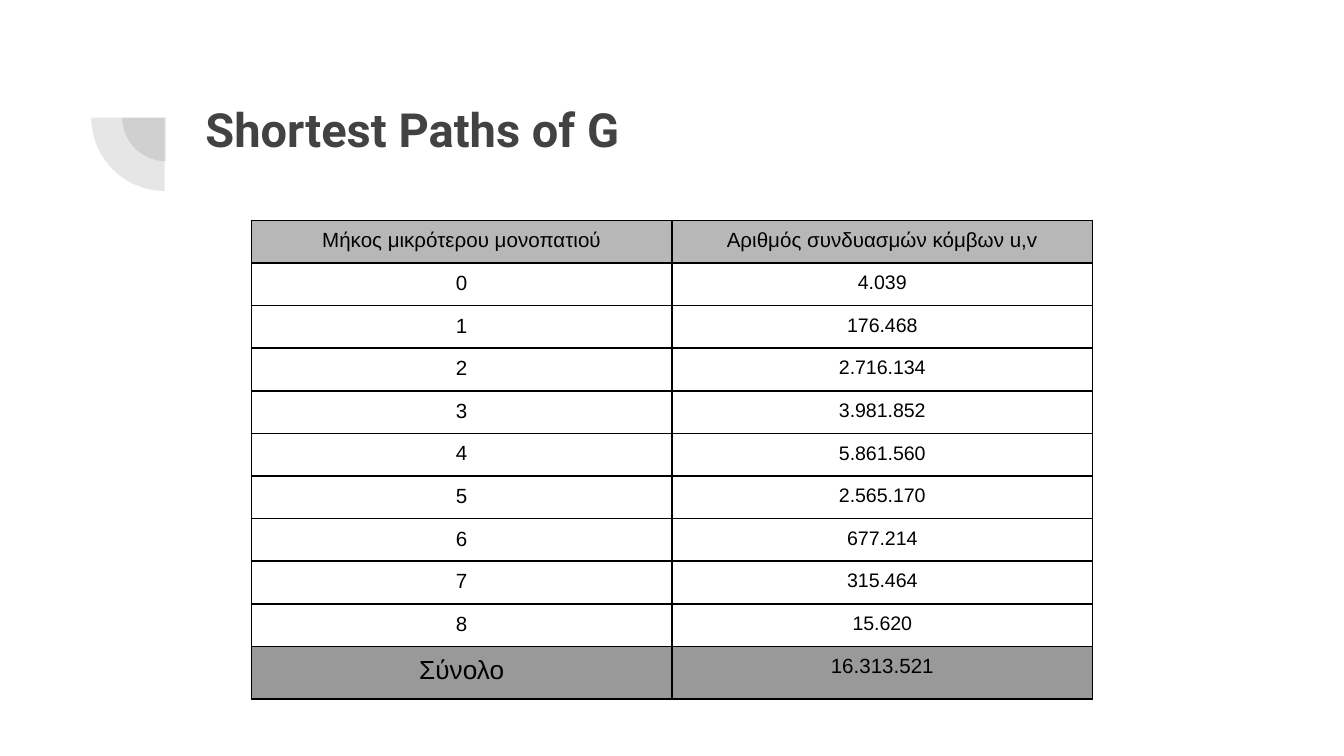
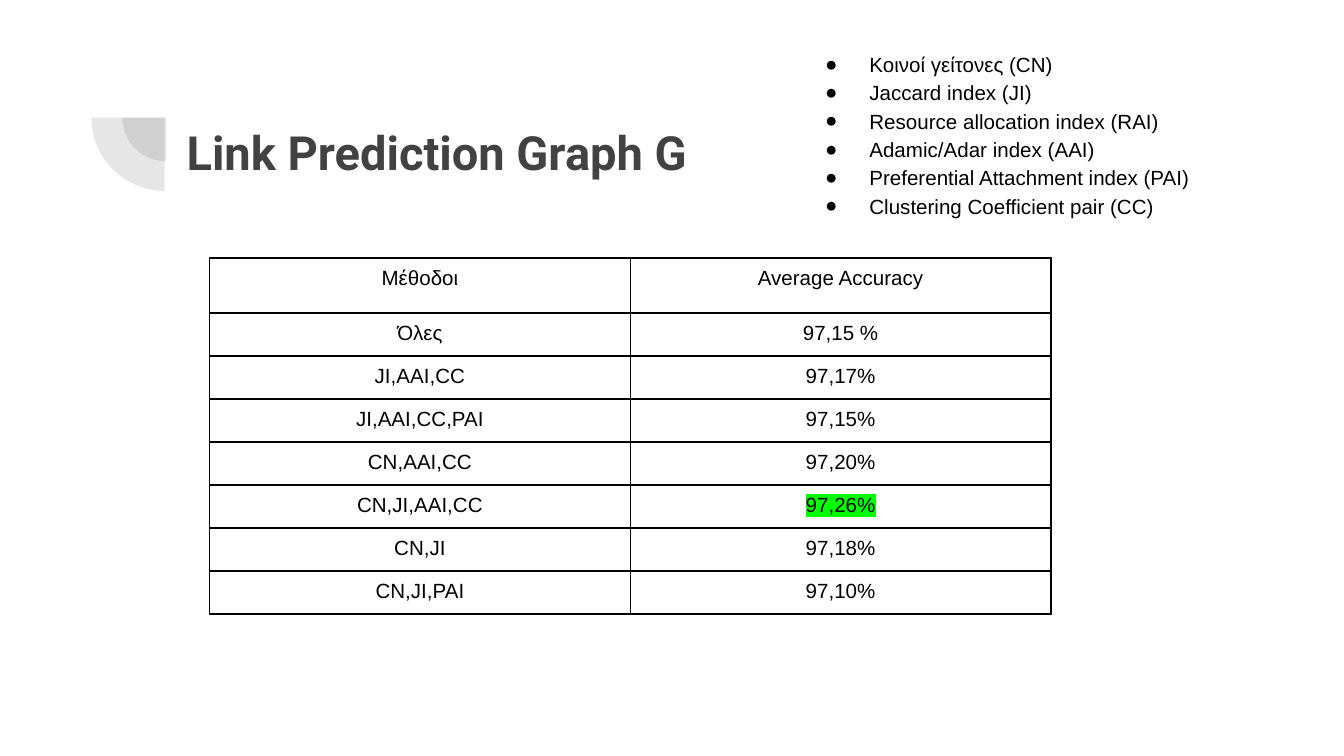
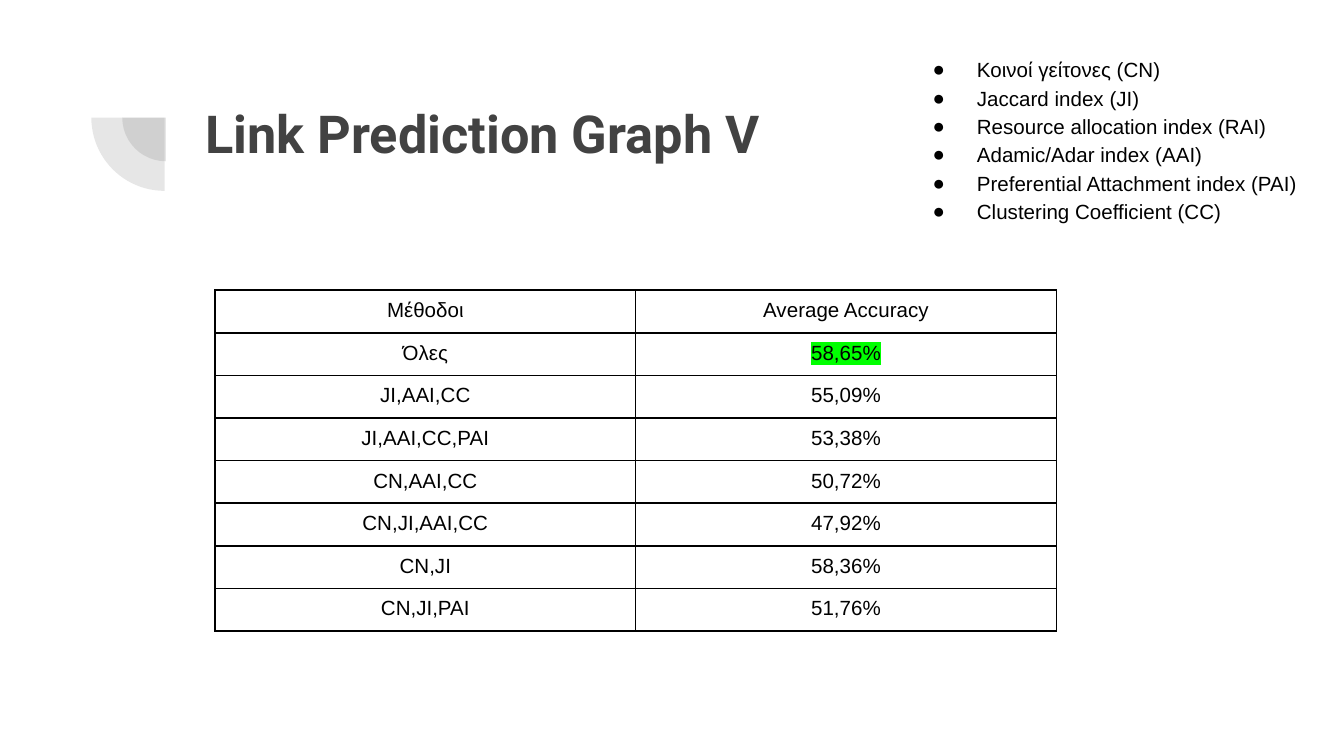
from dataclasses import dataclass

from lxml import etree
from pptx import Presentation
from pptx import util as u
from pptx.dml.color import RGBColor
from pptx.enum import shapes, text
from pptx.oxml import ns


@dataclass(frozen=True)
class Theme:
    title_font: str = "Roboto"
    body_font: str = "Arial"
    title: str = "424242"
    ink: str = "000000"
    paper: str = "FFFFFF"
    header: str = "B7B7B7"
    total: str = "999999"
    best: str = "00FF00"
    title_size: float = 25.2
    large_title_size: float = 28
    body_size: float = 11
    count_size: float = 10.5
    total_size: float = 14
    border: float = 1
    cell_margin: float = 4.8


THEME = Theme()
COLUMN_WIDTH = 3.13
TITLE_BOX = (1.43, 0.65, 7.69, 1.09)
METHODS = ["Όλες", "JI,AAI,CC", "JI,AAI,CC,PAI", "CN,AAI,CC",
           "CN,JI,AAI,CC", "CN,JI", "CN,JI,PAI"]
INDICES = ["Κοινοί γείτονες (CN)", "Jaccard index (JI)",
           "Resource allocation index (RAI)", "Adamic/Adar index (AAI)",
           "Preferential Attachment index (PAI)"]
PATH_COUNTS = ["4.039", "176.468", "2.716.134", "3.981.852", "5.861.560",
               "2.565.170", "677.214", "315.464", "15.620"]


def inches(*lengths):
    return [u.Inches(length) for length in lengths]


def add_element(parent, tag, **attributes):
    return etree.SubElement(parent, ns.qn(tag), attributes)


def add_color(parent, tag, color):
    add_element(add_element(parent, tag), "a:srgbClr", val=color)


def write(para, words, size=THEME.body_size, font=THEME.body_font,
          color=THEME.ink, bold=False, align=None, highlight=None,
          spacing=1.0):
    para.alignment = align
    para.line_spacing = spacing
    span = para.add_run()
    span.text = words
    span.font.size = u.Pt(size)
    span.font.bold = bold
    span.font.color.rgb = RGBColor.from_string(color)
    if highlight:
        add_color(span.font._element, "a:highlight", highlight)
    span.font.name = font


def add_text_box(page, box):
    frame = page.shapes.add_textbox(*inches(*box)).text_frame
    frame.word_wrap = True
    frame.margin_left = frame.margin_right = u.Inches(0.1)
    frame.margin_top = frame.margin_bottom = u.Inches(0.1)
    return frame


def add_corner_mark(page):
    """Two translucent quarter discs around one centre."""
    for left, top, diameter in ((0.91, 0.55, 0.65), (0.68, 0.33, 1.09)):
        pie = page.shapes.add_shape(
            shapes.MSO_SHAPE.PIE, *inches(left, top, diameter, diameter))
        pie.adjustments[0], pie.adjustments[1] = 108, 162
        pie.rotation = 270
        pie.shadow.inherit = False
        pie.line.fill.background()
        pie.fill.solid()
        pie.fill.fore_color.rgb = RGBColor.from_string(THEME.title)
        tint = pie._element.spPr.find(ns.qn("a:solidFill"))[0]
        add_element(tint, "a:alpha", val="13000")


def add_titled_page(deck, title, box=TITLE_BOX, size=THEME.title_size):
    page = deck.slides.add_slide(deck.slide_layouts[6])
    add_corner_mark(page)
    write(add_text_box(page, box).paragraphs[0], title, size=size,
          font=THEME.title_font, color=THEME.title, bold=True)
    return page


def style_cell(cell, fill):
    cell.margin_left = cell.margin_right = u.Pt(THEME.cell_margin)
    cell.margin_top = cell.margin_bottom = u.Pt(THEME.cell_margin)
    properties = cell._tc.get_or_add_tcPr()
    for side in ("a:lnL", "a:lnR", "a:lnT", "a:lnB"):
        line = add_element(properties, side, w=str(u.Pt(THEME.border)))
        add_color(line, "a:solidFill", THEME.ink)
    if fill:
        cell.fill.solid()
        cell.fill.fore_color.rgb = RGBColor.from_string(fill)
    else:
        cell.fill.background()


def add_grid(page, left, top, rows, heights, fills=None, formats=None):
    """Fills are keyed by row; text formats by (row, column)."""
    fills, formats = fills or {}, formats or {}
    columns = len(rows[0])
    table = page.shapes.add_table(
        len(rows), columns,
        *inches(left, top, COLUMN_WIDTH * columns, sum(heights))).table
    table.first_row = table.horz_banding = False
    for column in table.columns:
        column.width = u.Inches(COLUMN_WIDTH)
    for i, (row, height) in enumerate(zip(rows, heights)):
        table.rows[i].height = u.Inches(height)
        for j, words in enumerate(row):
            cell = table.cell(i, j)
            style_cell(cell, fills.get(i))
            write(cell.text_frame.paragraphs[0], words,
                  align=text.PP_ALIGN.CENTER, **formats.get((i, j), {}))


def add_bullet(para):
    properties = para._p.get_or_add_pPr()
    properties.set("marL", str(u.Inches(0.5)))
    properties.set("indent", str(u.Inches(-0.33)))
    add_color(properties, "a:buClr", THEME.ink)
    add_element(properties, "a:buSzPts", val=str(THEME.body_size * 100))
    add_element(properties, "a:buFont", typeface=THEME.body_font)
    add_element(properties, "a:buChar", char="●")


def add_index_list(page, left, top, last_index):
    frame = add_text_box(page, (left, top, 3.28, 1.45))
    frame.auto_size = text.MSO_AUTO_SIZE.SHAPE_TO_FIT_TEXT
    for i, words in enumerate(INDICES + [last_index]):
        para = frame.add_paragraph() if i else frame.paragraphs[0]
        write(para, words, spacing=1.15)
        add_bullet(para)


def add_accuracy_table(page, left, top, accuracies, heights, best_row):
    rows = [("Μέθοδοι", "Average Accuracy"), *zip(METHODS, accuracies)]
    add_grid(page, left, top, rows, heights,
             formats={(best_row, 1): {"highlight": THEME.best}})


def add_shortest_paths_page(deck):
    page = add_titled_page(deck, "Shortest Paths of G")
    rows = [("Μήκος μικρότερου μονοπατιού", "Αριθμός συνδυασμών κόμβων u,v"),
            *((str(length), count) for length, count in enumerate(PATH_COUNTS)),
            ("Σύνολο", "16.313.521")]
    last = len(rows) - 1
    formats = {(i, 1): {"size": THEME.count_size, "highlight": THEME.paper}
               for i in range(1, last)}
    formats[last, 0] = {"size": THEME.total_size}
    add_grid(page, 1.87, 1.64, rows, [0.3] * last + [0.39],
             fills={0: THEME.header, last: THEME.total}, formats=formats)


def add_graph_g_page(deck):
    page = add_titled_page(deck, "Link Prediction Graph G",
                           box=(1.29, 0.82, 4.37, 0.63))
    accuracies = ["97,15 %", "97,17%", "97,15%", "97,20%",
                  "97,26%", "97,18%", "97,10%"]
    add_accuracy_table(page, 1.56, 1.92, accuracies,
                       [0.41] + [0.32] * len(METHODS), best_row=5)
    add_index_list(page, 5.87, 0.26, "Clustering Coefficient pair (CC)")


def add_graph_v_page(deck):
    page = add_titled_page(deck, "Link Prediction Graph V",
                           size=THEME.large_title_size)
    accuracies = ["58,65%", "55,09%", "53,38%", "50,72%",
                  "47,92%", "58,36%", "51,76%"]
    add_accuracy_table(page, 1.6, 2.16, accuracies,
                       [0.3] * (len(METHODS) + 1), best_row=1)
    add_index_list(page, 6.67, 0.3, "Clustering Coefficient (CC)")


def main():
    deck = Presentation()
    deck.slide_width = u.Inches(10)
    deck.slide_height = deck.slide_width * 9 // 16
    add_shortest_paths_page(deck)
    add_graph_g_page(deck)
    add_graph_v_page(deck)
    deck.save("out.pptx")


if __name__ == "__main__":
    main()
